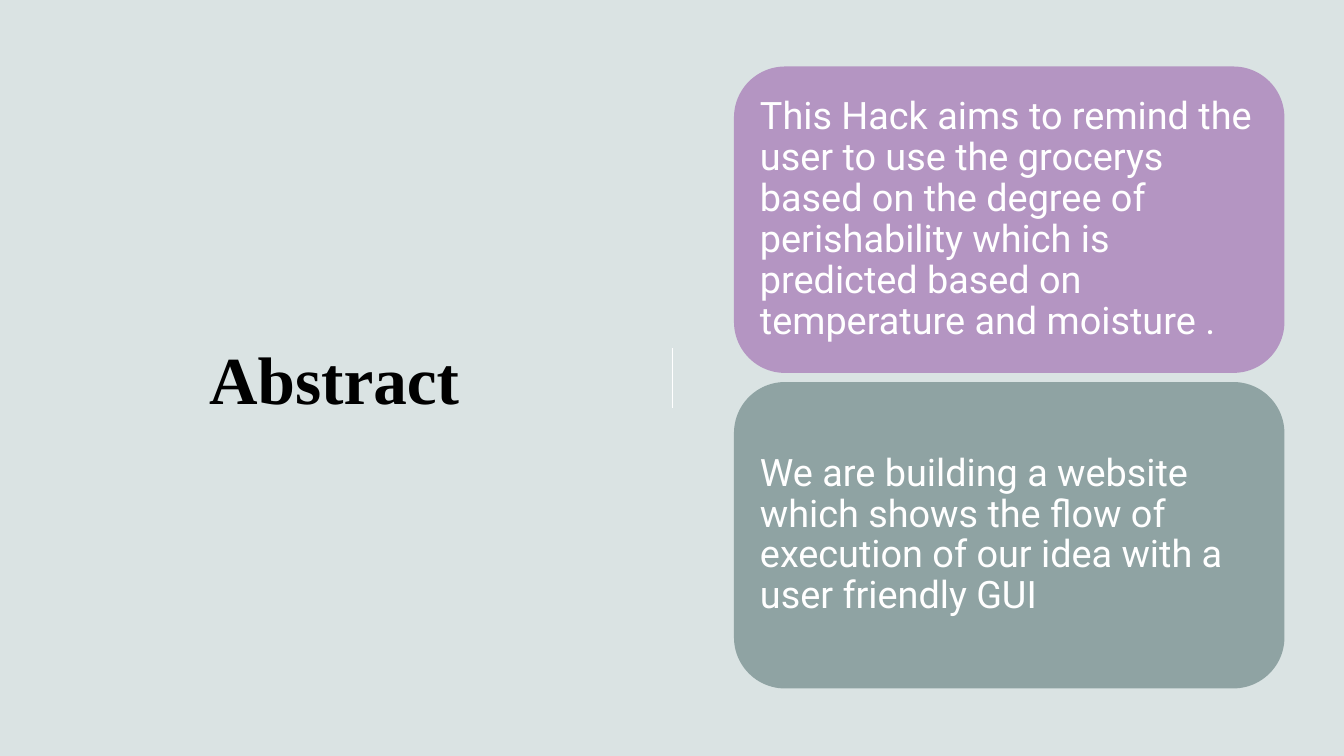
from lxml.etree import SubElement
from pptx import Presentation
from pptx.dml.color import RGBColor
from pptx.enum.shapes import MSO_CONNECTOR, MSO_SHAPE
from pptx.enum.text import MSO_ANCHOR, PP_ALIGN
from pptx.oxml.ns import qn
from pptx.util import Inches, Pt

CARDS = [
    ("B495C2", "This Hack aims to remind the user to use the grocerys based on the degree "
               "of perishability which is predicted based on temperature and moisture ."),
    ("8FA3A3", "We are building a website which shows the flow of execution of our idea "
               "with a user friendly GUI"),
]
CARD_LEFT, CARD_TOP, CARD_WIDTH, CARD_HEIGHT = 7.28, 0.66, 5.46, 3.04
CARD_STEP = 3.13
TITLE_FORMAT = {"name": "Times New Roman", "size": Pt(48), "bold": True}
CARD_FORMAT = {"name": "Roboto", "size": Pt(27)}


def color(value):
    """Turn a hex string into a colour."""
    return RGBColor.from_string(value)


def set_text(box, text, font_format, text_color, alignment, inset, spacing):
    """Write one vertically centred paragraph into a shape."""
    frame = box.text_frame
    frame_format = {"word_wrap": True, "vertical_anchor": MSO_ANCHOR.MIDDLE}
    for side in ("left", "right", "top", "bottom"):
        frame_format[f"margin_{side}"] = Inches(inset)
    for name, value in frame_format.items():
        setattr(frame, name, value)
    para = frame.paragraphs[0]
    para.alignment = alignment
    para.line_spacing = spacing
    span = para.add_run()
    span.text = text
    for name, value in font_format.items():
        setattr(span.font, name, value)
    span.font.color.rgb = color(text_color)


def add_title(page, text):
    """Add the centred heading on the left half."""
    box = page.shapes.add_textbox(Inches(1.18), Inches(1.18), Inches(4.27), Inches(5.13))
    set_text(box, text, TITLE_FORMAT, "000000", PP_ALIGN.CENTER, 0.1, 1.0)


def add_divider(page):
    """Add the short vertical line between heading and cards."""
    line = page.shapes.add_connector(
        MSO_CONNECTOR.STRAIGHT, Inches(6.67), Inches(3.45), Inches(6.67), Inches(4.05))
    line.line.color.rgb = color("FFFFFF")
    line.line.width = Pt(1)
    SubElement(line._element.spPr, qn("a:effectLst"))


def add_card(page, top, fill, text):
    """Add a rounded card holding its text."""
    card = page.shapes.add_shape(
        MSO_SHAPE.ROUNDED_RECTANGLE, Inches(CARD_LEFT), Inches(top),
        Inches(CARD_WIDTH), Inches(CARD_HEIGHT))
    card.shadow.inherit = False
    card.fill.solid()
    card.fill.fore_color.rgb = color(fill)
    card.line.fill.background()
    set_text(card, text, CARD_FORMAT, "FFFFFF", PP_ALIGN.LEFT, 0.11, 0.9)


def main():
    """Build the slide and save it."""
    deck = Presentation()
    deck.slide_width, deck.slide_height = Inches(13.33), Inches(7.5)
    page = deck.slides.add_slide(deck.slide_layouts[6])
    page.background.fill.solid()
    page.background.fill.fore_color.rgb = color("DAE3E3")
    add_title(page, "Abstract")
    add_divider(page)
    for index, (fill, text) in enumerate(CARDS):
        add_card(page, CARD_TOP + index * CARD_STEP, fill, text)
    deck.save("out.pptx")


if __name__ == "__main__":
    main()
